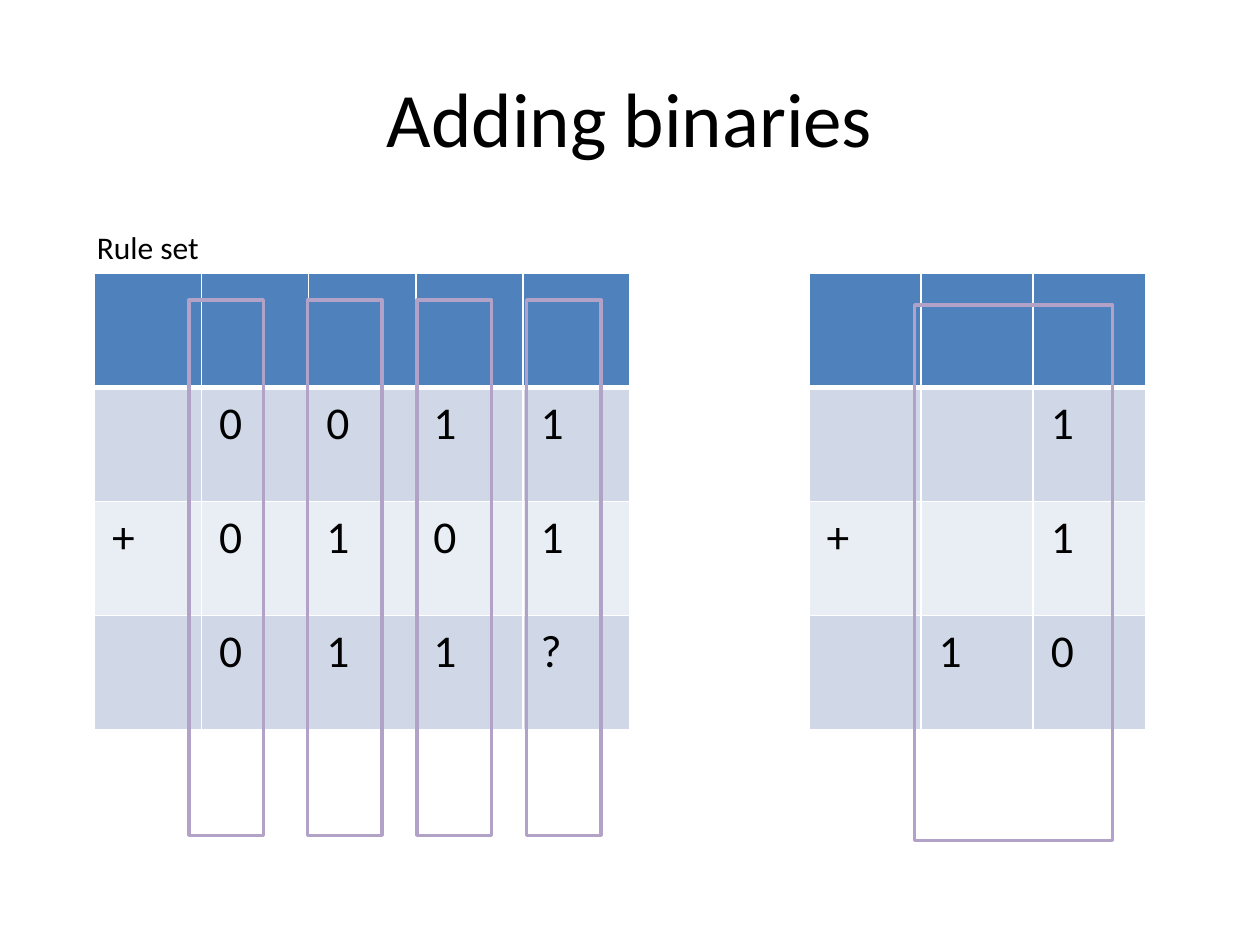
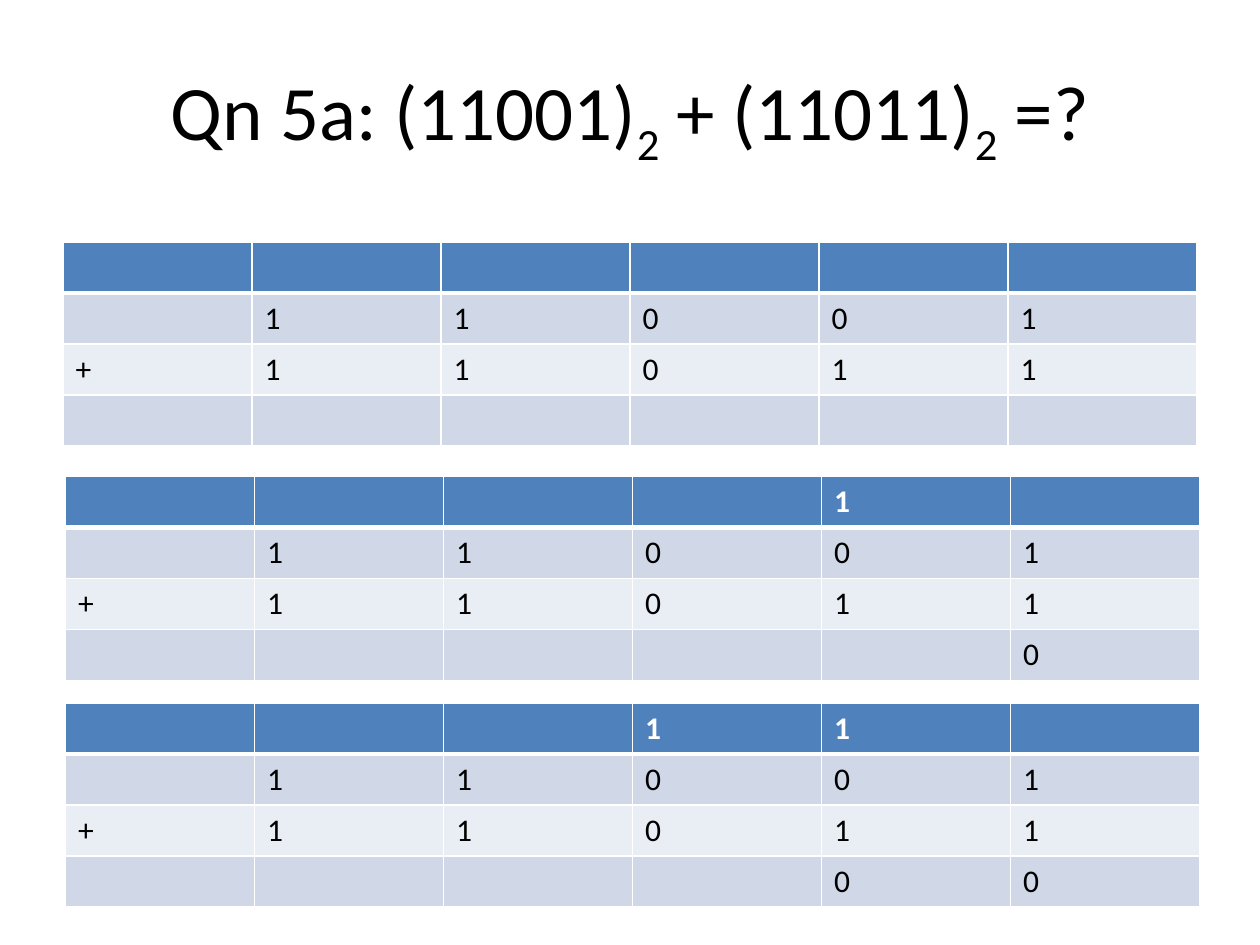
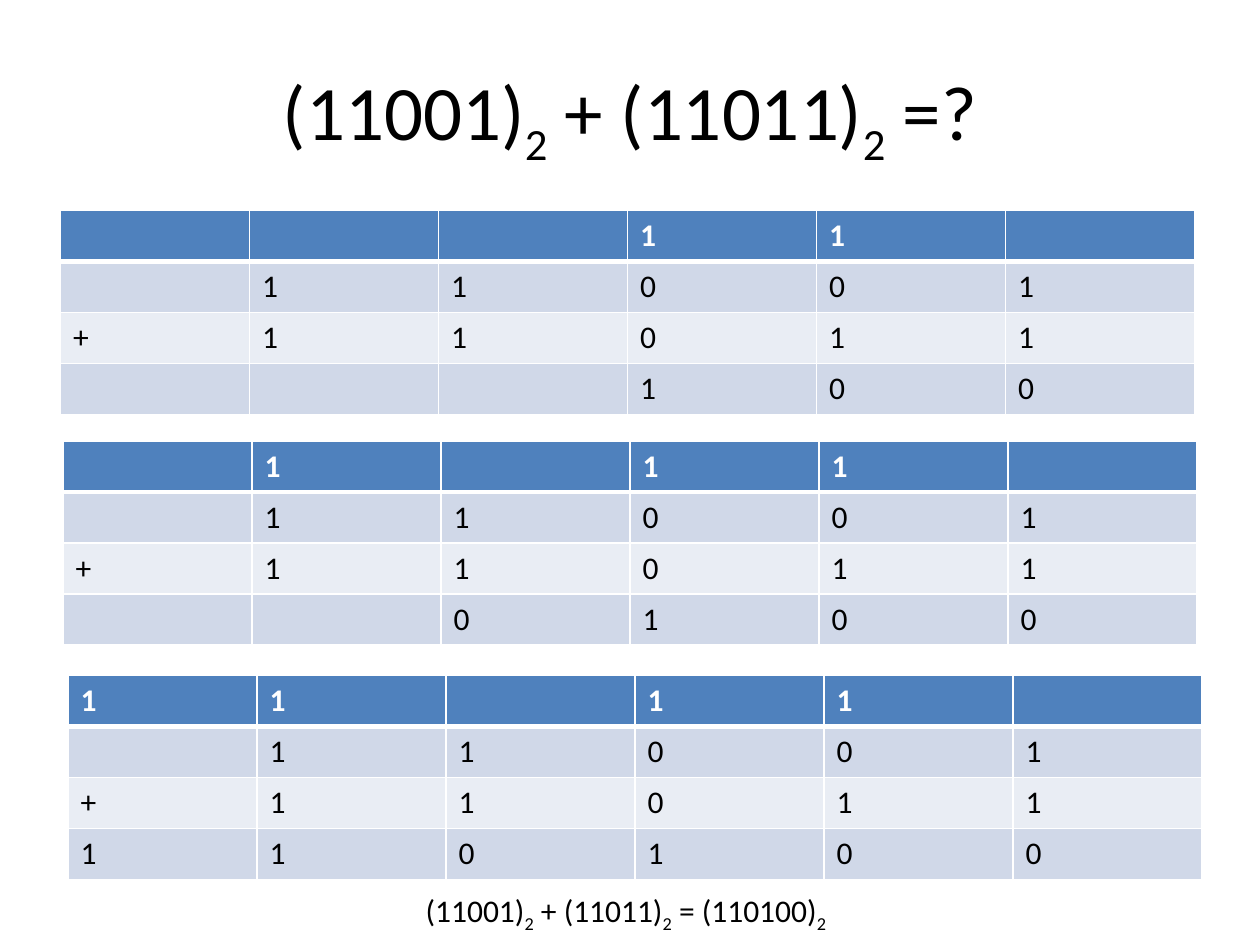
from dataclasses import dataclass

from lxml.etree import SubElement as Sub
from pptx import Presentation as Deck
from pptx.dml.color import RGBColor as Rgb
from pptx.enum.shapes import MSO_SHAPE as Form
from pptx.enum.text import MSO_ANCHOR as Anchor
from pptx.enum.text import MSO_AUTO_SIZE as Fit
from pptx.enum.text import PP_ALIGN as Align
from pptx.oxml.ns import qn
from pptx.util import Inches, Pt


@dataclass(frozen=True)
class Theme:
    """Colours, type sizes and line widths of the deck."""

    font: str = "Calibri"
    ink: str = "000000"
    paper: str = "FFFFFF"
    head: str = "4F81BD"
    bands: tuple = ("E9EDF4", "D0D8E8")
    frame: str = "B3A2C7"
    title: int = 44
    large: int = 26
    body: int = 18
    thin: int = 1
    mid: int = 2
    thick: int = 3


THEME = Theme()
COLS, ROWS = 100, 75
TOP, LOW = ".11001", "+11011"
SUM = "(11001)~2~ + (11011)~2~ ="


def write(frame, text, size=THEME.body, color=THEME.ink, bold=False, align=Align.LEFT):
    """Write text into a frame, lowering the parts between tildes."""
    para = frame.paragraphs[0]
    para.alignment = align
    for spot, part in enumerate(text.split("~")):
        if not part:
            continue
        run = para.add_run()
        run.text = part
        run.font.name = THEME.font
        run.font.size = Pt(size)
        run.font.bold = bold
        run.font.color.rgb = Rgb.from_string(color)
        if spot % 2:
            run._r.get_or_add_rPr().set("baseline", "-25000")


def edge(cell, widths):
    """Draw the left, right, top and bottom borders of a cell."""
    props = cell._tc.get_or_add_tcPr()
    for spot, (side, width) in enumerate(zip("LRTB", widths)):
        line = Sub(props, qn(f"a:ln{side}"), w=str(Pt(width)))
        fill = Sub(line, qn("a:solidFill"))
        Sub(fill, qn("a:srgbClr"), val=THEME.paper)
        props.insert(spot, line)


def solve(done):
    """Return the rows of the sum after some columns are added."""
    carry = [""] * len(TOP)
    total = [""] * len(TOP)
    for col in range(len(TOP) - 1, len(TOP) - 1 - done, -1):
        digits = (carry[col], TOP[col], LOW[col])
        over, rest = divmod(sum(digit == "1" for digit in digits), 2)
        total[col] = str(rest)
        if over:
            carry[col - 1] = "1"
    return [carry, TOP, LOW, total]


class Page:
    """Builds slides on a grid of equal columns and rows."""

    def __init__(self):
        """Open an empty deck."""
        self.deck = Deck()
        self.deck.slide_width = Inches(10)
        self.deck.slide_height = Inches(7.5)

    def area(self, left, top, width, height):
        """Turn grid columns and rows into lengths."""
        col = self.deck.slide_width / COLS
        row = self.deck.slide_height / ROWS
        return [round(n) for n in (left * col, top * row, width * col, height * row)]

    def start(self, title):
        """Add a slide with its title."""
        blank = self.deck.slide_layouts[6]
        self.shapes = self.deck.slides.add_slide(blank).shapes
        frame = self.shapes.add_textbox(*self.area(5, 3, 90, 12.5)).text_frame
        frame.word_wrap = True
        frame.vertical_anchor = Anchor.MIDDLE
        write(frame, title, size=THEME.title, align=Align.CENTER)

    def label(self, text, *box):
        """Add a line of body text."""
        frame = self.shapes.add_textbox(*self.area(*box)).text_frame
        frame.word_wrap = False
        frame.auto_size = Fit.SHAPE_TO_FIT_TEXT
        write(frame, text)

    def frame(self, *box):
        """Add an open rectangle around a column."""
        shape = self.shapes.add_shape(Form.RECTANGLE, *self.area(*box))
        shape.shadow.inherit = False
        shape.fill.background()
        shape.line.color.rgb = Rgb.from_string(THEME.frame)
        shape.line.width = Pt(THEME.mid)

    def table(self, rows, *box, size=THEME.body, pad=(0.1, 0.05)):
        """Add a banded table with a header row."""
        area = self.area(*box)
        grid = self.shapes.add_table(len(rows), len(rows[0]), *area).table
        for r, row in enumerate(rows):
            head = r == 0
            rule = THEME.thick if r == 1 else THEME.thin
            base = THEME.thick if head else THEME.thin
            for c, text in enumerate(row):
                cell = grid.cell(r, c)
                cell.margin_left = cell.margin_right = Inches(pad[0])
                cell.margin_top = cell.margin_bottom = Inches(pad[1])
                cell.fill.solid()
                shade = THEME.head if head else THEME.bands[r % 2]
                cell.fill.fore_color.rgb = Rgb.from_string(shade)
                edge(cell, (THEME.thin, THEME.thin, rule, base))
                color = THEME.paper if head else THEME.ink
                write(cell.text_frame, text.strip("."), size=size, color=color, bold=head)


def rules(page):
    """Build the slide with the rules of adding."""
    page.start("Adding binaries")
    look = {"size": THEME.large, "pad": (0.14, 0.07)}
    page.table([".....", ".0011", "+0101", ".011?"], 7.5, 21.7, 42.5, 36.2, **look)
    page.label("Rule set", 6.7, 17.6, 10.2, 4)
    page.table(["...", "..1", "+.1", ".10"], 64.2, 21.7, 26.7, 36.2, **look)
    for left in (15, 24.4, 33.1, 41.8):
        page.frame(left, 23.8, 5.9, 42.5)
    page.frame(72.6, 24.2, 15.7, 42.5)


def steps(page, title, plan):
    """Build a slide with stages of the sum."""
    page.start(title)
    for done, left, top in plan:
        page.table(solve(done), left, top, 90, 16.2)


def main():
    """Build and save the deck."""
    page = Page()
    rules(page)
    steps(page, f"Qn 5a: {SUM}?", [(0, 5, 19.2), (1, 5.2, 37.8), (2, 5.2, 55.8)])
    steps(page, f"{SUM}?", [(3, 4.8, 16.7), (4, 5, 35), (6, 5.4, 53.6)])
    page.label(f"{SUM} (110100)~2~", 32.8, 70.2, 35.1, 4)
    page.deck.save("out.pptx")


if __name__ == "__main__":
    main()
